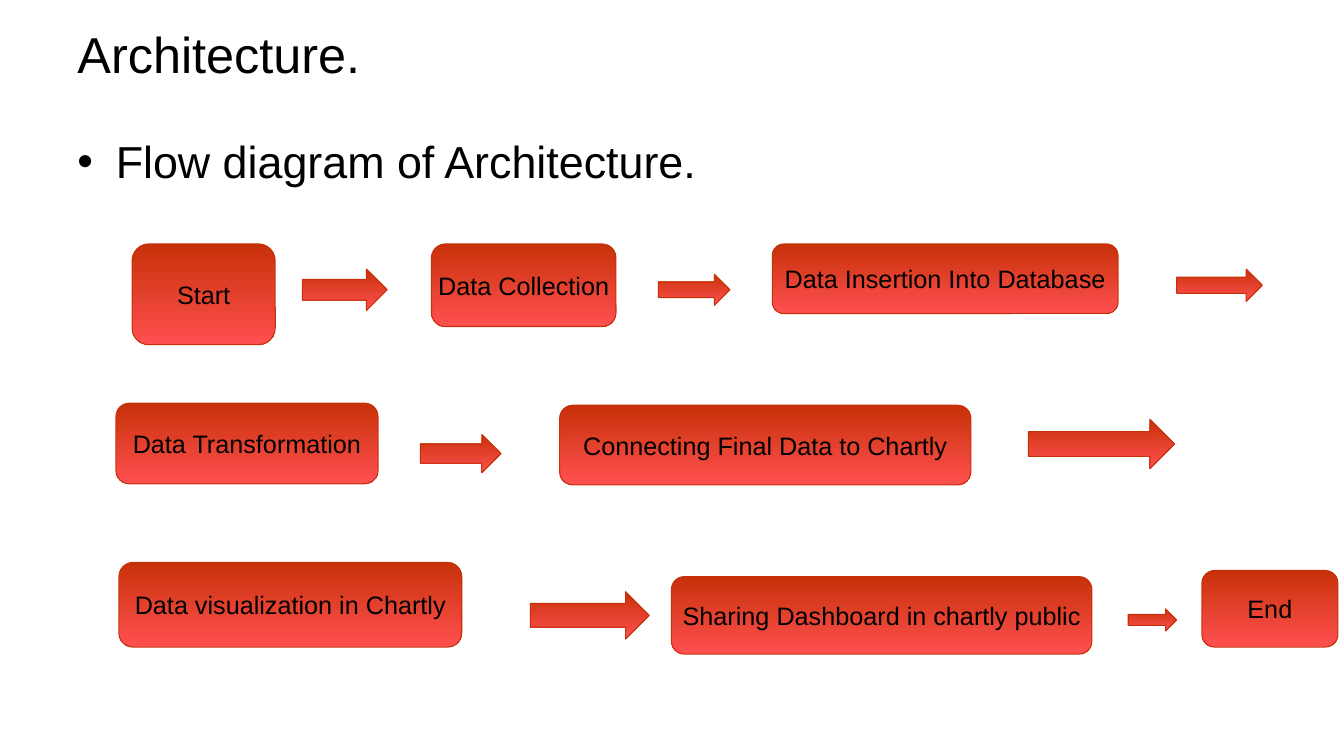
from lxml import etree
from pptx import Presentation
from pptx import util as u
from pptx.dml.color import RGBColor
from pptx.enum import shapes, text
from pptx.oxml import ns

PX = 9144  # 100 px to the inch
BLACK = RGBColor(0x00, 0x00, 0x00)
DARK_RED = RGBColor(0xC7, 0x31, 0x09)
LIGHT_RED = RGBColor(0xFF, 0x50, 0x50)

START = shapes.MSO_SHAPE.ROUNDED_RECTANGLE
STEP = shapes.MSO_SHAPE.FLOWCHART_ALTERNATE_PROCESS
ARROW = shapes.MSO_SHAPE.RIGHT_ARROW

# Each part: kind, x and y within its row, width, height, label
ROWS = [
    ((115, 242), [
        (START, 16, 0, 142, 100, "Start"),
        (ARROW, 185, 25, 84, 41, ""),
        (STEP, 313, 0, 183, 82, "Data Collection"),
        (ARROW, 538, 30, 71, 31, ""),
        (STEP, 651, 0, 343, 69, "Data Insertion Into Database"),
        (ARROW, 1052, 25, 85, 32, ""),
    ]),
    ((115, 400), [
        (STEP, 0, 0, 260, 80, "Data Transformation"),
        (ARROW, 302, 31, 80, 38, ""),
        (STEP, 440, 2, 408, 79, "Connecting Final Data to Chartly"),
        (ARROW, 905, 16, 145, 49, ""),
    ]),
    ((115, 558), [
        (STEP, 3, 0, 340, 84, "Data visualization in Chartly"),
        (ARROW, 411, 29, 118, 47, ""),
        (STEP, 551, 14, 417, 77, "Sharing Dashboard in chartly public"),
        (ARROW, 1004, 46, 48, 22, ""),
        (STEP, 1077, 8, 135, 76, "End"),
    ]),
]


def px(*lengths):
    return [u.Emu(length * PX) for length in lengths]


def write(shape, words, *, size, align=text.PP_ALIGN.LEFT,
          anchor=text.MSO_ANCHOR.MIDDLE, wrap=True, before=0):
    frame = shape.text_frame
    frame.word_wrap = wrap
    frame.vertical_anchor = anchor
    para = frame.paragraphs[0]
    para.alignment = align
    para.space_before = u.Pt(before)
    span = para.add_run()
    span.text = words
    span.font.name = "Arial"
    span.font.size = u.Pt(size)
    span.font.color.rgb = BLACK
    return para


def add_bullet(para, indent):
    props = para._p.get_or_add_pPr()
    props.set("marL", str(indent * PX))
    props.set("indent", str(-indent * PX))
    etree.SubElement(props, ns.qn("a:buFont")).set("typeface", "Arial")
    etree.SubElement(props, ns.qn("a:buChar")).set("char", "•")


def add_heading(page, left, top, width):
    title = page.shapes.add_textbox(*px(left, top, width, 64))
    write(title, "Architecture.", size=36)
    body = page.shapes.add_textbox(*px(left, top + 107, width, 526))
    para = write(body, "Flow diagram of Architecture.", size=32,
                 anchor=text.MSO_ANCHOR.TOP, before=5)
    add_bullet(para, 38)


def add_part(page, kind, box, label):
    shape = page.shapes.add_shape(kind, *px(*box))
    shape.shadow.inherit = False
    shape.fill.gradient()
    shape.fill.gradient_angle = 270  # dark at the top
    for stop, colour in zip(shape.fill.gradient_stops, (DARK_RED, LIGHT_RED)):
        stop.color.rgb = colour
    shape.line.color.rgb = DARK_RED
    shape.line.width = u.Pt(0.75)
    if label:
        write(shape, label, size=18, align=text.PP_ALIGN.CENTER, wrap=False)


def add_flow_row(page, left, top, parts):
    for kind, x, y, width, height, label in parts:
        add_part(page, kind, (left + x, top + y, width, height), label)


def main():
    deck = Presentation()
    deck.slide_width, deck.slide_height = px(1333, 750)
    page = deck.slides.add_slide(deck.slide_layouts[6])

    # Title and bullet
    add_heading(page, 67, 21, 1200)

    # Flow diagram
    for (left, top), parts in ROWS:
        add_flow_row(page, left, top, parts)

    deck.save("out.pptx")


if __name__ == "__main__":
    main()
